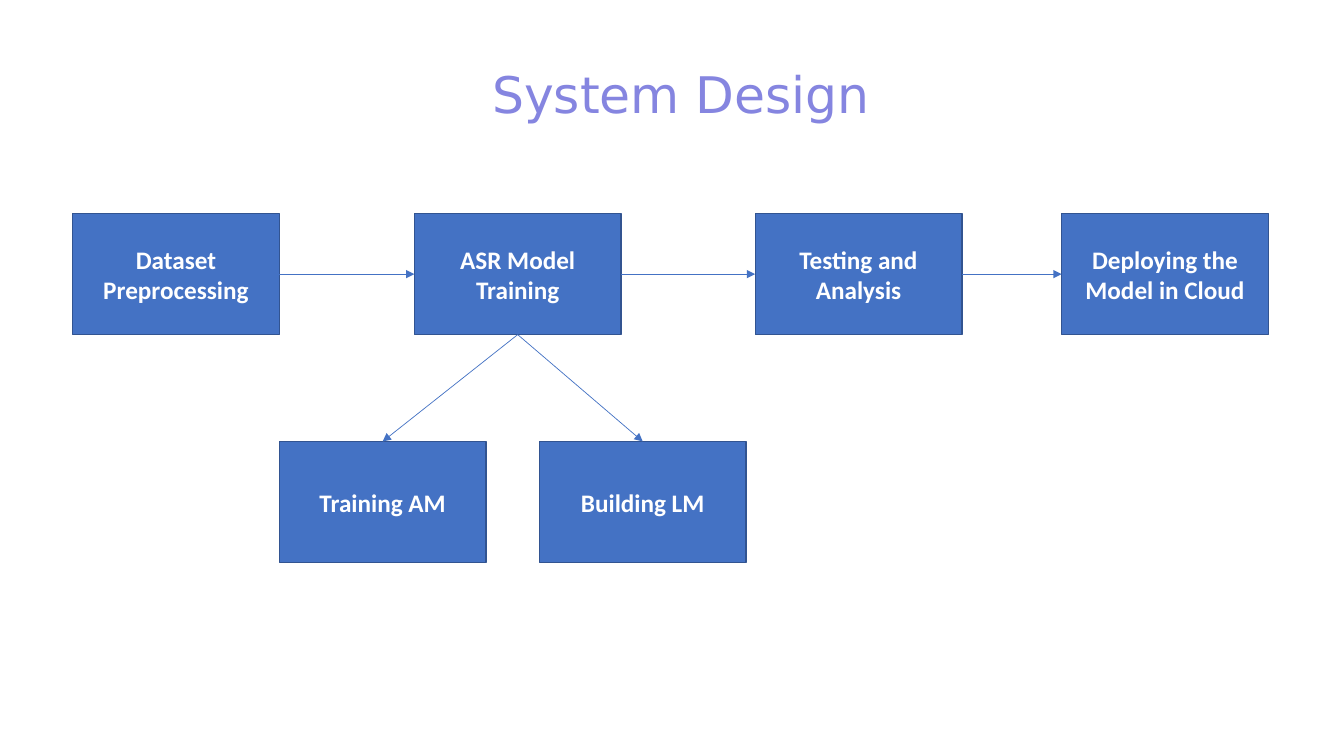
from itertools import pairwise

from lxml import etree
from pptx import Presentation
from pptx.dml.color import RGBColor
from pptx.enum import shapes, text
from pptx.oxml import ns
from pptx.util import Inches, Pt

LAVENDER = RGBColor(0x85, 0x85, 0xE0)
BLUE = RGBColor(0x44, 0x72, 0xC4)
DARK_BLUE = RGBColor(0x32, 0x54, 0x91)
WHITE = RGBColor(0xFF, 0xFF, 0xFF)

STEP_WIDTH, STEP_HEIGHT = 2.05, 1.2
TOP, LEFT, BOTTOM, RIGHT = range(4)

PIPELINE = [
    ("Dataset Preprocessing", 0),
    ("ASR Model Training", 3.39),
    ("Testing and Analysis", 6.77),
    ("Deploying the Model in Cloud", 9.81),
]
TRAINING_PARTS = [("Training AM", 2.05), ("Building LM", 4.63)]
PARTS_DROP = 2.26


def write_centred(frame, wording, font_name, size, color, bold=False):
    frame.word_wrap = True
    frame.vertical_anchor = text.MSO_ANCHOR.MIDDLE
    paragraph = frame.paragraphs[0]
    paragraph.text = wording
    paragraph.alignment = text.PP_ALIGN.CENTER
    font = paragraph.font
    font.name, font.size, font.bold = font_name, Pt(size), bold
    font.color.rgb = color


def add_title(slide, left, top, width, height):
    title = slide.shapes.add_textbox(
        Inches(left), Inches(top), Inches(width), Inches(height))
    write_centred(title.text_frame, "System Design", "DejaVu Sans", 36, LAVENDER)


def add_step(slide, wording, left, top):
    step = slide.shapes.add_shape(
        shapes.MSO_SHAPE.RECTANGLE, Inches(left), Inches(top),
        Inches(STEP_WIDTH), Inches(STEP_HEIGHT))
    step.shadow.inherit = False
    step.fill.solid()
    step.fill.fore_color.rgb = BLUE
    step.line.color.rgb = DARK_BLUE
    step.line.width = Pt(1)
    write_centred(step.text_frame, wording, "Calibri", 18, WHITE, bold=True)
    return step


def add_arrow(slide, source, source_side, target, target_side):
    arrow = slide.shapes.add_connector(shapes.MSO_CONNECTOR.STRAIGHT, 0, 0, 0, 0)
    arrow.begin_connect(source, source_side)
    arrow.end_connect(target, target_side)
    arrow.line.color.rgb = BLUE
    arrow.line.width = Pt(0.5)
    etree.SubElement(arrow.line._get_or_add_ln(), ns.qn("a:tailEnd"), type="triangle")
    etree.SubElement(arrow._element.spPr, ns.qn("a:effectLst"))


def add_flow(slide, left, top):
    stages = [add_step(slide, wording, left + offset, top)
              for wording, offset in PIPELINE]
    parts = [add_step(slide, wording, left + offset, top + PARTS_DROP)
             for wording, offset in TRAINING_PARTS]
    for source, target in pairwise(stages):
        add_arrow(slide, source, RIGHT, target, LEFT)
    model_training = stages[1]
    for part in parts:
        add_arrow(slide, model_training, BOTTOM, part, TOP)


def main():
    deck = Presentation()
    deck.slide_width, deck.slide_height = Inches(13.33), Inches(7.5)
    slide = deck.slides.add_slide(deck.slide_layouts[6])
    add_title(slide, 0.5, 0.21, 12.51, 1.43)
    add_flow(slide, 0.72, 2.12)
    deck.save("out.pptx")


if __name__ == "__main__":
    main()
